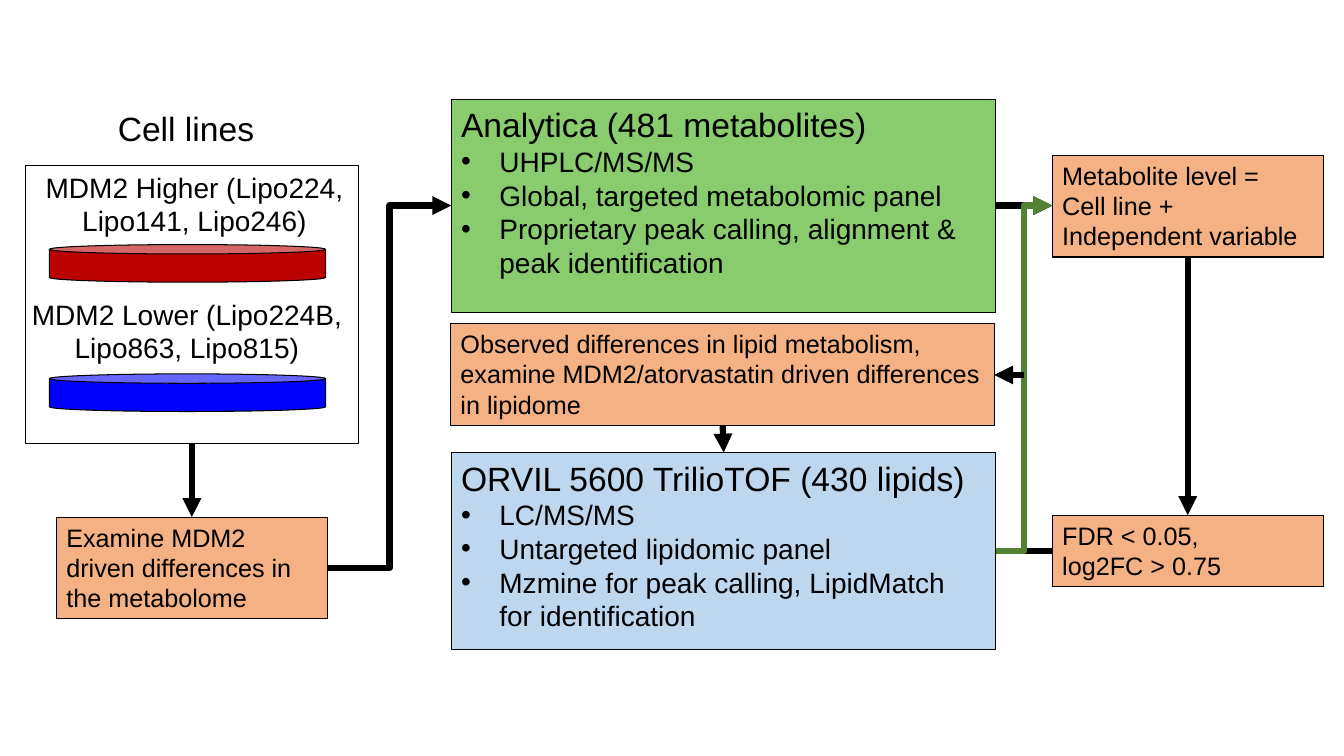
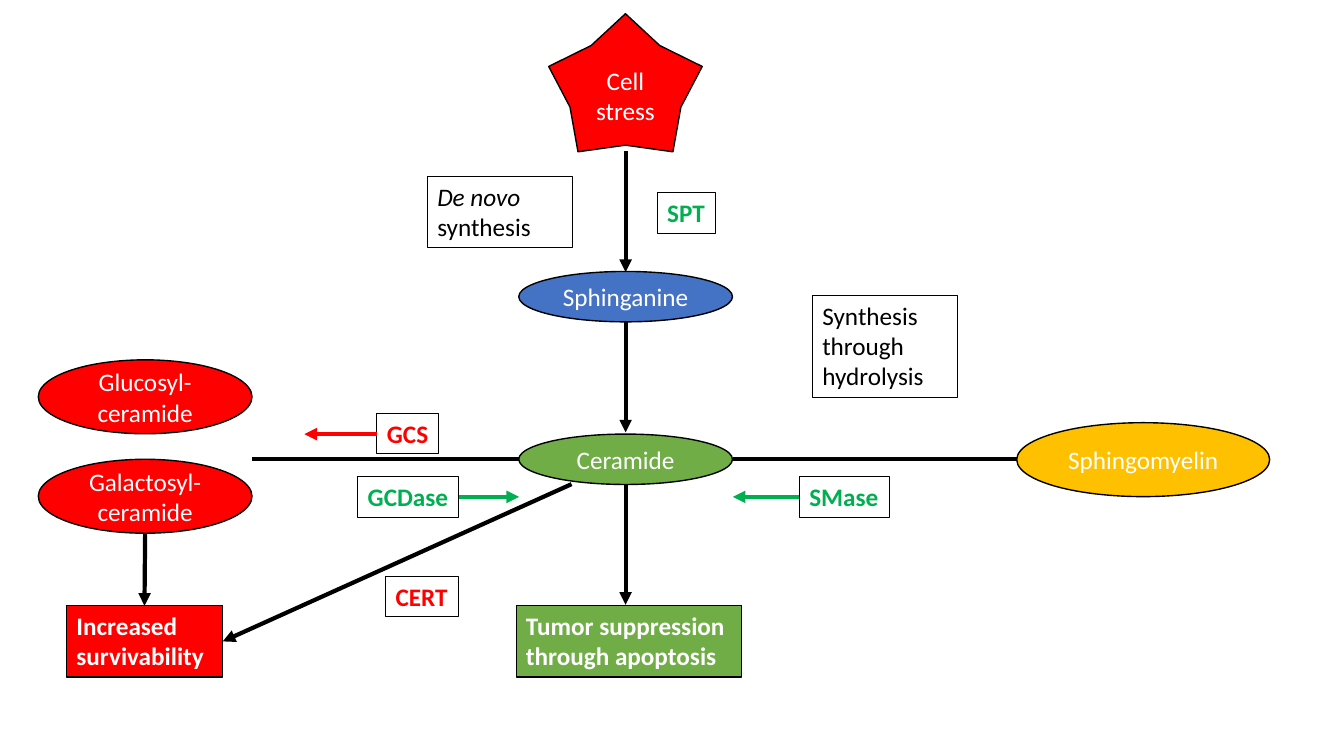
import pptx
import pptx.util
import pptx.dml.color
import pptx.enum.shapes
import pptx.enum.text
import lxml.etree
import pptx.oxml.ns

deck = pptx.Presentation()
deck.slide_width = pptx.util.Inches(13.333)
deck.slide_height = pptx.util.Inches(7.5)
cell = deck.slide_width / 40
hues = {
    "black": "000000", "white": "FFFFFF", "peach": "F4B183", "wine": "BB0000",
    "navy": "0000FF", "leaf": "88CC6D", "sky": "BDD7EE", "moss": "548235",
    "red": "FF0000", "blue": "4472C4", "green": "70AD47", "gold": "FFC000",
    "mint": "00B050",
}
kinds = pptx.enum.shapes.MSO_SHAPE
joins = pptx.enum.shapes.MSO_CONNECTOR
sides = pptx.enum.text.PP_ALIGN
holds = pptx.enum.text.MSO_ANCHOR
name = pptx.oxml.ns.qn


def box(kind, spot, fill=None, lines=(), size=18, ink="black", edge=0.75,
        bold=False, mid=False, wrap=True):
    place = [round(n * cell) for n in spot]
    if kind is None:
        item = page.shapes.add_textbox(*place)
    else:
        item = page.shapes.add_shape(kind, *place)
        item.shadow.inherit = False
        item.line.color.rgb = pptx.dml.color.RGBColor.from_string(hues["black"])
        item.line.width = pptx.util.Pt(edge)
    if fill:
        item.fill.solid()
        item.fill.fore_color.rgb = pptx.dml.color.RGBColor.from_string(hues[fill])
    else:
        item.fill.background()
    frame = item.text_frame
    frame.word_wrap = wrap
    frame.vertical_anchor = holds.MIDDLE if kind in (kinds.OVAL, kinds.STAR_5_POINT) else holds.TOP
    for row, runs in enumerate(lines):
        para = frame.paragraphs[0] if row == 0 else frame.add_paragraph()
        para.alignment = sides.CENTER if mid else sides.LEFT
        for words in [runs] if isinstance(runs, str) else runs:
            run = para.add_run()
            run.text = words
            run.font.name = face
            run.font.size = pptx.util.Pt(size)
            run.font.bold = bold
            run.font.color.rgb = pptx.dml.color.RGBColor.from_string(hues[ink])
    return item


def link(start, end, ink="black", head=True, join=joins.STRAIGHT):
    line = page.shapes.add_connector(join, *[round(n * cell) for n in start + end])
    line.line.color.rgb = pptx.dml.color.RGBColor.from_string(hues[ink])
    line.line.width = pptx.util.Pt(thick)
    props = line._element.spPr
    if head:
        lxml.etree.SubElement(props.find(name("a:ln")), name("a:tailEnd"), type="triangle")
    lxml.etree.SubElement(props, name("a:effectLst"))


page = deck.slides.add_slide(deck.slide_layouts[6])
face, thick = "Arial", 4.5
left, right, wide = 13.43, 31.32, 16.2
edge = left + wide
link((right, 16.41), (edge, 16.41), head=False)
for spot, lines in [
    ((right, 4.62, 8.07, 3.03), ["Metabolite level =", "Cell line + Independent variable"]),
    ((right, 15.33, 8.07, 2.13), ["FDR < 0.05, ", "log2FC > 0.75"]),
    ((1.68, 15.39, 8.07, 3.03), ["Examine MDM2 driven differences in the metabolome"]),
    ((left - 0.02, 9.63, wide, 3.03), ["Observed differences in lipid metabolism, examine MDM2/atorvastatin driven differences in lipidome"]),
]:
    box(kinds.RECTANGLE, spot, "peach", lines)

for top, fill in [(7.28, "wine"), (11.13, "navy")]:
    box(kinds.CAN, (1.47, top, 8.22, 1.12), fill)
for spot, words, size in [
    ((0.75, 4.92, 10.08, 2.31), "MDM2 Higher (Lipo224, Lipo141, Lipo246)", 20),
    ((0.36, 8.7, 10.41, 2.31), "MDM2 Lower (Lipo224B, Lipo863, Lipo815)", 20),
    ((1.89, 3.06, 7.29, 1.5), "Cell lines", 24),
]:
    box(None, spot, lines=[words], size=size, mid=True)
box(kinds.RECTANGLE, (0.75, 4.92, 9.93, 8.28))

for top, tall, fill, lines in [
    (2.95, 6.34, "leaf", [
        "Analytica (481 metabolites)", "UHPLC/MS/MS",
        "Global, targeted metabolomic panel",
        "Proprietary peak calling, alignment & peak identification"]),
    (13.47, 5.85, "sky", [
        "ORVIL 5600 TrilioTOF (430 lipids) ", "LC/MS/MS",
        "Untargeted lipidomic panel ",
        "Mzmine for peak calling, LipidMatch for identification"]),
]:
    panel = box(kinds.RECTANGLE, (left, top, wide, tall), fill, lines, 20)
    paras = panel.text_frame.paragraphs
    paras[0].runs[0].font.size = pptx.util.Pt(24)
    for para in paras[1:]:
        props = para._p.get_or_add_pPr()
        props.set("marL", str(pptx.util.Inches(0.38)))
        props.set("indent", str(-pptx.util.Inches(0.38)))
        lxml.etree.SubElement(props, name("a:buFont"), typeface="Arial")
        lxml.etree.SubElement(props, name("a:buChar"), char="•")

link((35.35, 7.65), (35.35, 15.33))
link((5.71, 13.2), (5.71, 15.39))
link((9.75, 16.91), (left, 6.12), join=joins.ELBOW)
link((edge, 6.12), (right, 6.12))
link((21.51, 12.66), (21.54, 13.47))
link((edge, 16.41), (right, 6.12), "moss", join=joins.ELBOW)
link((30.48, 11.16), (edge - 0.04, 11.16))

page = deck.slides.add_slide(deck.slide_layouts[6])
face, thick = "Calibri", 3
axis, level, oval = 18.62, 13.67, 6.36
star = box(kinds.STAR_5_POINT, (16.33, 0.41, 4.57, 4.11), "red", ["Cell stress"],
           ink="white", edge=1, mid=True)
star.adjustments[0] = 0.361

for spot, fill, words in [
    ((axis - oval / 2, 8.08, oval, 1.5), "blue", "Sphinganine"),
    ((axis - oval / 2, 12.92, oval, 1.5), "green", "Ceramide"),
    ((1.14, level, oval, 2.2), "red", "Galactosyl-ceramide"),
    ((1.14, 10.71, oval, 2.2), "red", "Glucosyl-ceramide"),
    ((30.26, 12.58, 7.53, 2.2), "gold", "Sphingomyelin"),
]:
    box(kinds.OVAL, spot, fill, [words], ink="white", edge=1, mid=True)

note = box(kinds.RECTANGLE, (12.72, 5.25, 4.32, 2.13), lines=[("De novo ", "synthesis")])
note.text_frame.paragraphs[0].runs[0].font.italic = True
box(kinds.RECTANGLE, (24.18, 8.79, 4.32, 3.03), lines=["Synthesis through hydrolysis"])
for x, wide, fill, words in [
    (15.36, 6.72, "green", "Tumor suppression through apoptosis"),
    (1.98, 4.65, "red", "Increased survivability"),
]:
    box(kinds.RECTANGLE, (x, 18.02, wide, 2.13), fill, [words], ink="white", bold=True)

for x, y, wide, ink, words in [
    (11.22, 12.3, 1.83, "red", "GCS"), (10.65, 14.19, 3, "mint", "GCDase"),
    (23.79, 14.19, 2.67, "mint", "SMase"), (11.48, 17.15, 2.16, "red", "CERT"),
    (19.56, 5.73, 1.74, "mint", "SPT"),
]:
    box(kinds.RECTANGLE, (x, y, wide, 1.21), lines=[words], ink=ink, bold=True, wrap=False)

for top, base in [(4.5, 8.1), (9.59, 12.87), (14.42, 18)]:
    link((axis, top), (axis, base))
for start, end in [(21.81, 30.27), (15.45, 7.5)]:
    link((start, level), (end, level), head=False)
for start, end, y, ink in [
    (11.22, 9.06, 12.92, "red"), (13.65, 15.45, 14.79, "mint"),
    (23.79, 21.81, 14.79, "mint"),
]:
    link((start, y), (end, y), ink)
link((4.32, 15.89), (4.3, 18.03))
link((17.01, 14.41), (6.63, 19.09))

deck.save("out.pptx")
